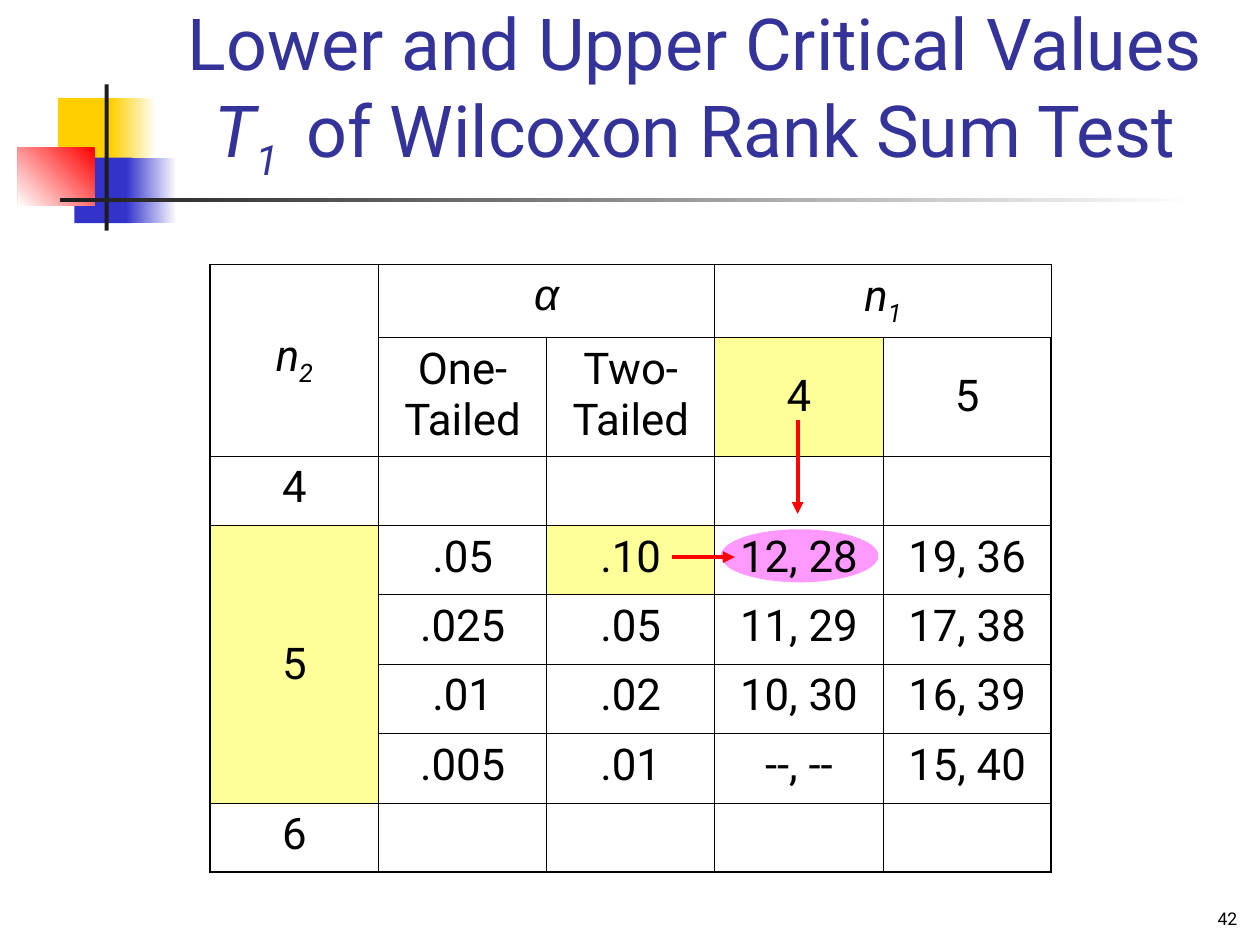
from lxml import etree
from pptx import Presentation
from pptx.dml.color import RGBColor
from pptx.enum.shapes import MSO_CONNECTOR, MSO_SHAPE
from pptx.enum.text import MSO_ANCHOR, PP_ALIGN
from pptx.oxml.ns import qn
from pptx.util import Cm, Pt

RECT, OVAL, STRAIGHT = MSO_SHAPE.RECTANGLE, MSO_SHAPE.OVAL, MSO_CONNECTOR.STRAIGHT
CENTER, RIGHT = PP_ALIGN.CENTER, PP_ALIGN.RIGHT
TOP, MIDDLE, BOTTOM = MSO_ANCHOR.TOP, MSO_ANCHOR.MIDDLE, MSO_ANCHOR.BOTTOM

WHITE = RGBColor(0xFF, 0xFF, 0xFF)
BLACK = RGBColor(0x00, 0x00, 0x00)
CHARCOAL = RGBColor(0x1C, 0x1C, 0x1C)
GOLD = RGBColor(0xFF, 0xCF, 0x01)
BLUE = RGBColor(0x33, 0x33, 0xCC)
RED = RGBColor(0xFF, 0x00, 0x00)
NAVY = RGBColor(0x33, 0x33, 0x99)
YELLOW = RGBColor(0xFF, 0xFF, 0x99)
PINK = RGBColor(0xFF, 0x99, 0xFF)

SHAPES = [
    (RECT, (1.17, 1.98, 1.22, 1.32), (GOLD,), 0),
    (RECT, (2.24, 1.98, 0.91, 1.32), (WHITE, GOLD), 180),
    (RECT, (1.5, 3.18, 1.17, 1.32), (BLUE,), 0),
    (RECT, (2.54, 3.18, 1.02, 1.32), (WHITE, BLUE), 180),
    (RECT, (0.36, 2.97, 1.55, 1.17), (RED, WHITE), 225),
    (RECT, (2.11, 1.7, 0.08, 2.95), (CHARCOAL,), 0),
    (RECT, (1.22, 3.99, 22.86, 0.08), (WHITE, CHARCOAL), 180),
    (OVAL, (14.53, 10.67, 3.18, 1.07), (PINK,), 0),
]

ITALIC = {"italic": True}
TITLE_FONT = {"name": "Roboto", "size": Pt(41)}
CELL_FONT = {"name": "Roboto", "size": Pt(25)}
PAGE_FONT = {"name": "Roboto", "size": Pt(10)}

TITLE = [("Lower and Upper Critical Values ", {}, 0), ("T", ITALIC, 0),
         ("1 ", ITALIC, -25), (" of Wilcoxon Rank Sum Test", {}, 0)]
ALPHA = [("α", {"italic": True, "name": "Arial"}, 0)]
N1 = [("n", ITALIC, 0), ("1", ITALIC, -25)]
N2 = [("n", ITALIC, 0), ("2", ITALIC, -25)]

TABLE_AT = (4.24, 5.33)
COL_W = 3.39
ROW_H = [1.47, 2.39] + [1.4] * 6
ROWS = [
    [N2, ALPHA, "", N1, ""],
    ["", "One-Tailed", "Two-Tailed", "4", "5"],
    ["4", "", "", "", ""],
    ["5", ".05", ".10", "12, 28", "19, 36"],
    ["", ".025", ".05", "11, 29", "17, 38"],
    ["", ".01", ".02", "10, 30", "16, 39"],
    ["", ".005", ".01", "--, --", "15, 40"],
    ["6", "", "", "", ""],
]
MERGES = [((0, 0), (1, 0)), ((0, 1), (0, 2)), ((0, 3), (0, 4)), ((3, 0), (6, 0))]
HIGHLIGHTS = {(1, 3), (3, 0), (3, 2)}
MIDDLE_CELLS = {(0, 0), (1, 3), (1, 4), (3, 0)}
THIN, THICK = Pt(0.45), Pt(1.08)

ARROWS = [(16.08, 8.46, 16.08, 10.36), (13.54, 11.23, 14.81, 11.23)]


def write(p, runs, font, color, align):
    p.alignment = align
    for text, style, baseline in runs:
        r = p.add_run()
        r.text = text
        r.font.color.rgb = color
        for key, value in {**font, **style}.items():
            setattr(r.font, key, value)
        if baseline:
            r.font._element.set("baseline", str(baseline * 1000))


def add_text(s, box, runs, font, color, align):
    tf = s.shapes.add_textbox(*map(Cm, box)).text_frame
    tf.word_wrap = True
    tf.vertical_anchor = BOTTOM
    write(tf.paragraphs[0], runs, font, color, align)


def add_filled(s, kind, box, colors, angle):
    sp = s.shapes.add_shape(kind, *map(Cm, box))
    sp.shadow.inherit = False
    sp.line.fill.background()
    if len(colors) == 1:
        sp.fill.solid()
        sp.fill.fore_color.rgb = colors[0]
    else:
        sp.fill.gradient()
        sp.fill.gradient_angle = angle
        for stop, color in zip(sp.fill.gradient_stops, colors):
            stop.color.rgb = color


def set_borders(cell, widths):
    tcPr = cell._tc.get_or_add_tcPr()
    for side, width in widths.items():
        ln = etree.SubElement(tcPr, qn(f"a:ln{side}"), w=str(width))
        fill = etree.SubElement(ln, qn("a:solidFill"))
        etree.SubElement(fill, qn("a:srgbClr"), val=str(BLACK))


def add_table(s):
    n_rows, n_cols = len(ROWS), len(ROWS[0])
    frame = s.shapes.add_table(n_rows, n_cols, *map(Cm, TABLE_AT),
                               Cm(COL_W * n_cols), Cm(sum(ROW_H)))
    table = frame.table
    table.first_row = table.horz_banding = False
    for col in table.columns:
        col.width = Cm(COL_W)
    for row, height in zip(table.rows, ROW_H):
        row.height = Cm(height)
    for first, last in MERGES:
        table.cell(*first).merge(table.cell(*last))
    for i, row in enumerate(ROWS):
        for j, content in enumerate(row):
            cell = table.cell(i, j)
            edges = {"L": j == 0, "R": j == n_cols - 1,
                     "T": i == 0, "B": i == n_rows - 1}
            set_borders(cell, {k: THICK if outer else THIN for k, outer in edges.items()})
            if (i, j) in HIGHLIGHTS:
                cell.fill.solid()
                cell.fill.fore_color.rgb = YELLOW
            else:
                cell.fill.background()
            cell.vertical_anchor = MIDDLE if (i, j) in MIDDLE_CELLS else TOP
            if content:
                runs = [(content, {}, 0)] if isinstance(content, str) else content
                p = cell.text_frame.paragraphs[0]
                p.space_before = Pt(6.2)
                write(p, runs, CELL_FONT, BLACK, CENTER)


def add_arrow(s, ends):
    line = s.shapes.add_connector(STRAIGHT, *map(Cm, ends))
    line.line.color.rgb = RED
    line.line.width = Pt(2.25)
    etree.SubElement(line.line._get_or_add_ln(), qn("a:tailEnd"), type="triangle")
    etree.SubElement(line._element.spPr, qn("a:effectLst"))


def main():
    prs = Presentation()
    prs.slide_width, prs.slide_height = Cm(25.4), Cm(19.05)
    s = prs.slides.add_slide(prs.slide_layouts[6])
    for shape in SHAPES:
        add_filled(s, *shape)
    add_text(s, (3.2, 0.64, 21.64, 3.18), TITLE, TITLE_FONT, NAVY, CENTER)
    add_table(s)
    for ends in ARROWS:
        add_arrow(s, ends)
    add_text(s, (19.91, 17.55, 5.28, 1.3), [("42", {}, 0)], PAGE_FONT, BLACK, RIGHT)
    prs.save("out.pptx")


if __name__ == "__main__":
    main()
